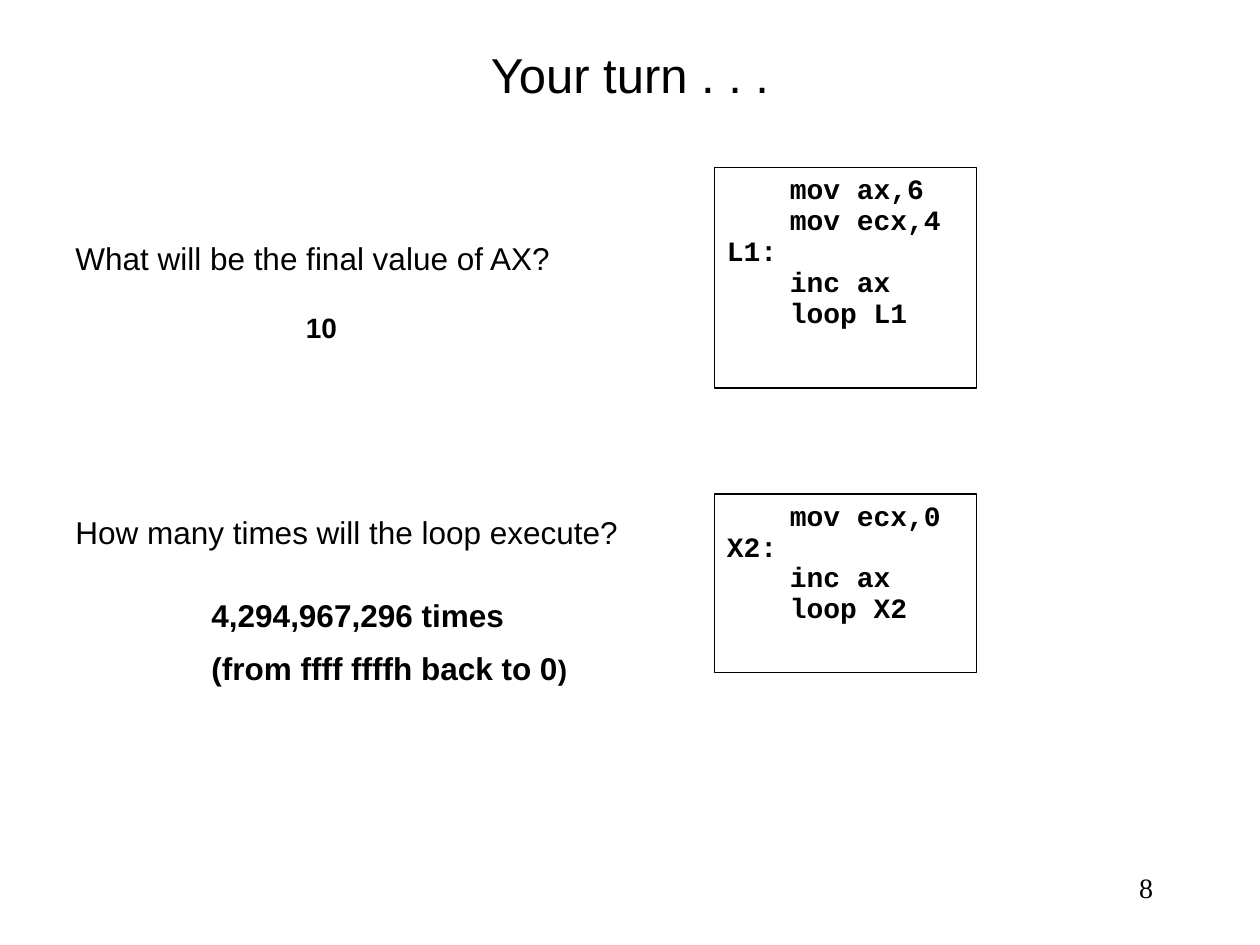
from lxml import etree
from pptx import Presentation
from pptx.dml.color import RGBColor
from pptx.enum import shapes, text
from pptx.oxml import ns
from pptx.util import Inches, Pt

BLACK = RGBColor(0, 0, 0)
LEFT, CENTER, RIGHT = text.PP_ALIGN.LEFT, text.PP_ALIGN.CENTER, text.PP_ALIGN.RIGHT
TOP, MIDDLE = text.MSO_ANCHOR.TOP, text.MSO_ANCHOR.MIDDLE
TAB_STOPS = (0.5, 4, 4.5)

prs = Presentation()
prs.slide_width, prs.slide_height = Inches(10), Inches(7.5)
s = prs.slides.add_slide(prs.slide_layouts[6])


def add_run(p, words, size, font="Arial", bold=False):
    r = p.add_run()
    r.text = words
    for name, value in dict(size=Pt(size), name=font, bold=bold).items():
        setattr(r.font, name, value)
    r.font.color.rgb = BLACK


def fill_frame(tf, paragraphs, align=LEFT, anchor=TOP, inset=0.15, wrap=True, half_space=True, code=False):
    """Each paragraph is a list of (words, size, font, bold) runs."""
    tf.word_wrap, tf.vertical_anchor = wrap, anchor
    tf.margin_left = tf.margin_right = Inches(0.1)
    tf.margin_top = tf.margin_bottom = Inches(inset)
    for i, runs in enumerate(paragraphs):
        p = tf.add_paragraph() if i else tf.paragraphs[0]
        p.alignment = align
        if code:
            p.line_spacing = 0.5
        # Space before of half a line, then tab stops
        pPr = p._p.get_or_add_pPr()
        if half_space:
            before = etree.SubElement(pPr, ns.qn("a:spcBef"))
            etree.SubElement(before, ns.qn("a:spcPct"), val="50000")
        if code:
            tabs = etree.SubElement(pPr, ns.qn("a:tabLst"))
            for stop in TAB_STOPS:
                etree.SubElement(tabs, ns.qn("a:tab"), pos=str(Inches(stop)), algn="l")
        for run in runs:
            add_run(p, *run)


# Slide number and title
plain = dict(anchor=MIDDLE, inset=0.05, half_space=False)
for box, run, align in (
    ((8.17, 6.83, 1.08, 0.42), ("8", 16, "Times New Roman"), RIGHT),
    ((0.75, 0.25, 8.5, 0.67), ("Your turn . . .", 28), CENTER),
):
    sp = s.shapes.add_textbox(*map(Inches, box))
    fill_frame(sp.text_frame, [[run]], align=align, **plain)

# Code boxes
for top, height, lines in (
    (1.33, 1.75, ("\tmov ax,6", "\tmov ecx,4", "L1:", "\tinc ax", "\tloop L1")),
    (3.92, 1.42, ("\tmov ecx,0", "X2:", "\tinc ax", "\tloop X2")),
):
    sp = s.shapes.add_shape(shapes.MSO_SHAPE.RECTANGLE, *map(Inches, (5.67, top, 2.08, height)))
    sp.shadow.inherit = False
    sp.fill.background()
    sp.line.color.rgb, sp.line.width = BLACK, Pt(0.75)
    fill_frame(sp.text_frame, [[(line, 16, "Courier New", True)] for line in lines], wrap=False, code=True)

# Questions and answers
for box, paragraphs in (
    ((0.5, 1.75, 5.5, 0.6), [[("What will be the final value of AX?", 18)]]),
    ((2.33, 2.33, 0.67, 0.57), [[("10", 16, "Arial", True)]]),
    ((0.5, 3.92, 4.67, 0.6), [[("How many times will the loop execute?", 18)]]),
    ((1.58, 4.58, 3.25, 1.06), [
        [("4,294,967,296 times", 18, "Arial", True)],
        [("(from ffff ffffh back to 0", 18, "Arial", True), (")", 16, "Arial", True)],
    ]),
):
    sp = s.shapes.add_textbox(*map(Inches, box))
    fill_frame(sp.text_frame, paragraphs)
    sp.text_frame.auto_size = text.MSO_AUTO_SIZE.SHAPE_TO_FIT_TEXT

prs.save("out.pptx")
